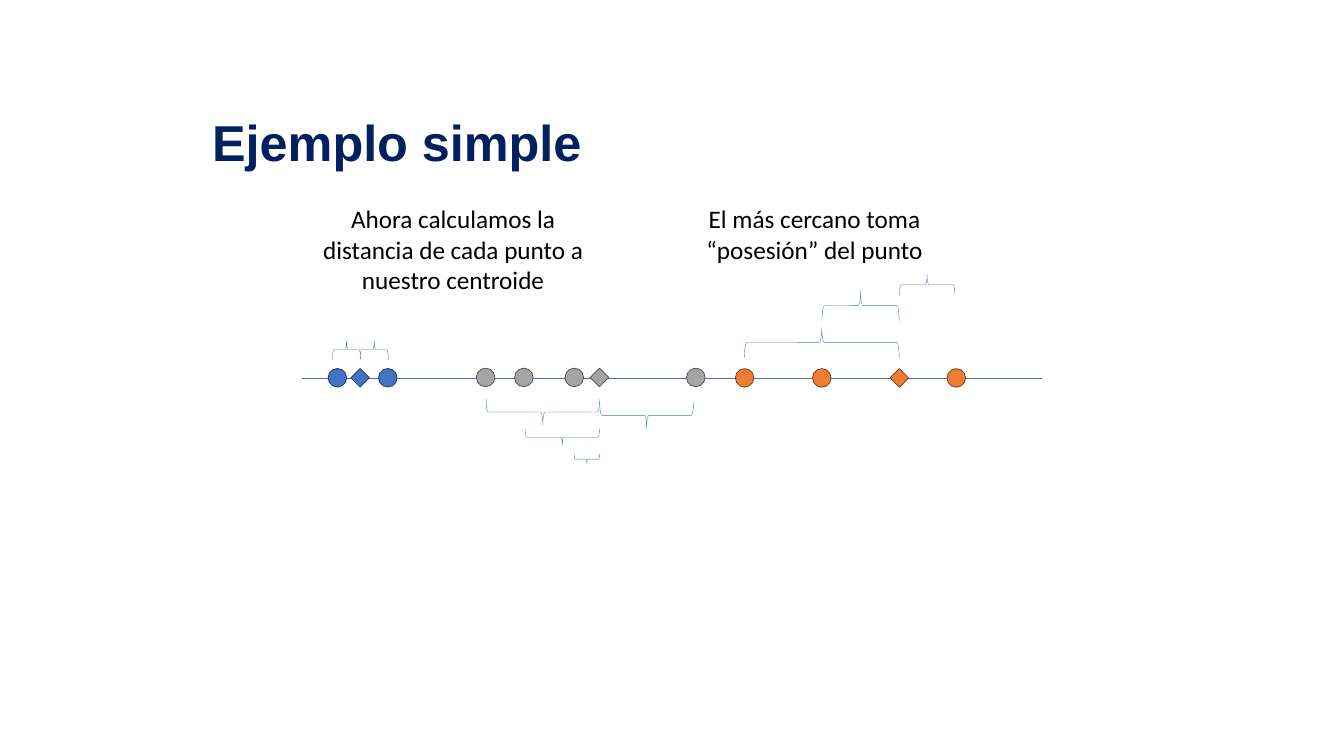
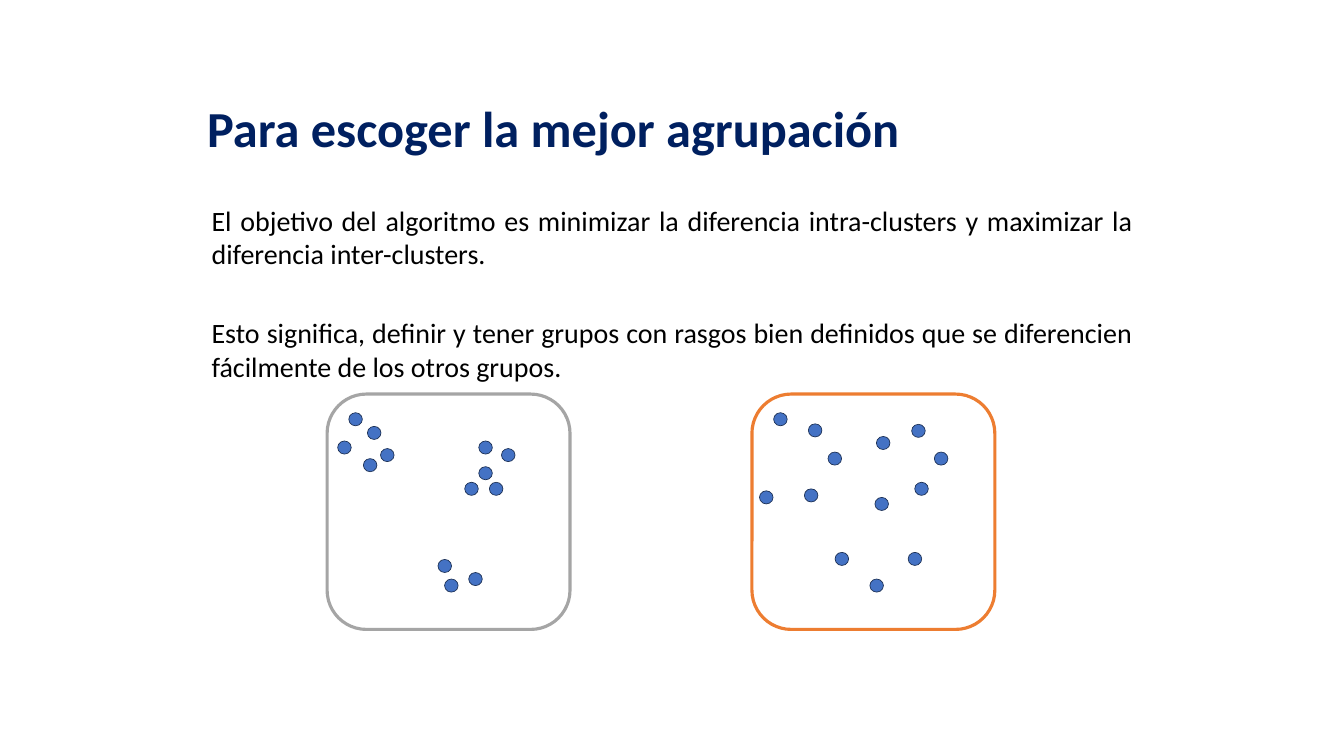
import pptx
import pptx.util
import pptx.dml.color
import pptx.enum.shapes
import pptx.enum.text
import lxml.etree

Pt = pptx.util.Pt
rgb = pptx.dml.color.RGBColor.from_string
MSO = pptx.enum.shapes.MSO_SHAPE
ALIGN = pptx.enum.text.PP_ALIGN
ANCHOR = pptx.enum.text.MSO_ANCHOR

NAVY, BLACK, WHITE = "002060", "000000", "FFFFFF"
BLUE, GREY, ORANGE = "4472C4", "A5A5A5", "ED7D31"
OUTLINE = {BLUE: "1E3256", GREY: "484848", ORANGE: "683715"}


def add_figure(s, kind, left, top, width, height, fill, line, weight):
    sp = s.shapes.add_shape(kind, Pt(left), Pt(top), Pt(width), Pt(height))
    sp.shadow.inherit = False
    if fill:
        sp.fill.solid()
        sp.fill.fore_color.rgb = rgb(fill)
    else:
        sp.fill.background()
    sp.line.color.rgb = rgb(line)
    sp.line.width = Pt(weight)
    return sp


def fill_text(sp, box, inset, anchor, paragraphs, align, font, size, color, bold=False, gap=0):
    """Place a text shape and write its paragraphs, with a gap in points between them."""
    sp.left, sp.top, sp.width, sp.height = [Pt(v) for v in box]
    tf = sp.text_frame
    tf.word_wrap = True
    tf.auto_size = pptx.enum.text.MSO_AUTO_SIZE.NONE
    tf.vertical_anchor = anchor
    tf.margin_left = tf.margin_right = Pt(2 * inset)
    tf.margin_top = tf.margin_bottom = Pt(inset)
    for i, text in enumerate(paragraphs):
        p = tf.add_paragraph() if i else tf.paragraphs[0]
        p.text = text
        p.alignment = align
        p.space_before = Pt(gap if i else 0)
        p.font.name = font
        p.font.size = Pt(size)
        p.font.bold = bold
        p.font.color.rgb = rgb(color)


prs = pptx.Presentation()
prs.slide_width, prs.slide_height = Pt(1920), Pt(1080)
title_only = prs.slide_layouts[5]

# Slide 1: points on a line, owned by their nearest centroid
s = prs.slides.add_slide(title_only)
fill_text(s.shapes.title, (288.7, 144.7, 1296, 114.5), 7.2, ANCHOR.MIDDLE,
          ["Ejemplo simple"], ALIGN.JUSTIFY, "Arial", 72, NAVY, bold=True)

AXIS_Y = 540
axis = s.shapes.add_connector(pptx.enum.shapes.MSO_CONNECTOR.STRAIGHT,
                              Pt(431.3), Pt(AXIS_Y), Pt(1488.3), Pt(AXIS_Y))
axis.line.color.rgb = rgb(BLUE)
axis.line.width = Pt(0.5)
sp_pr = axis._element.spPr
lxml.etree.SubElement(sp_pr, pptx.oxml.ns.qn("a:effectLst"))

captions = [
    (431.3, 145.4, "Ahora calculamos la distancia de cada punto a nuestro centroide"),
    (947.5, 101.5, "El más cercano toma “posesión” del punto"),
]
for left, height, caption in captions:
    box = (left, 283.7, 432, height)
    tf_box = s.shapes.add_textbox(0, 0, 0, 0)
    fill_text(tf_box, box, 7.2, ANCHOR.TOP, [caption], ALIGN.CENTER, "Calibri", 36, BLACK)

# Colour, height of the centres, centres of the points, centre of the centroid
MARK = 26.6
clusters = [
    (BLUE, 539.7, (482, 554), 514.4),
    (GREY, 539.2, (693.7, 748.4, 820.4, 994), 856.4),
    (ORANGE, 539.9, (1063.8, 1174, 1366.2), 1284.8),
]
for color, y, points, centroid in clusters:
    marks = [(MSO.OVAL, x) for x in points] + [(MSO.DIAMOND, centroid)]
    for kind, x in marks:
        add_figure(s, kind, x - MARK / 2, y - MARK / 2, MARK, MARK, color, OUTLINE[color], 1)

# Left end, right end, middle height, depth; 90 opens downwards, 270 upwards
distances = [
    (474.8, 515.2, 499.7, 26.6, 90),
    (514.4, 554.8, 499.7, 26.6, 90),
    (694.4, 856.4, 588.6, 37.4, 270),
    (750.2, 856.4, 624.6, 23.8, 270),
    (820.4, 856.4, 655.9, 14.4, 270),
    (856.8, 990.7, 593.3, 37.4, 270),
    (1063.4, 1284.5, 489.2, 42.5, 90),
    (1174.3, 1284.5, 436.7, 42.5, 90),
    (1284.8, 1364, 406.8, 29.5, 90),
]
for x1, x2, y, depth, turn in distances:
    span = x2 - x1
    brace = add_figure(s, MSO.LEFT_BRACE, (x1 + x2 - depth) / 2, y - span / 2,
                       depth, span, None, BLUE, 0.5)
    brace.rotation = turn

# Slide 2: a good and a poor grouping
s = prs.slides.add_slide(title_only)
title = s.shapes.title
fill_text(title, (288.7, 144.7, 1329.8, 114.5), 3.6, ANCHOR.TOP,
          ["Para escoger la mejor agrupación"], ALIGN.JUSTIFY, "Calibri", 72, NAVY, bold=True)
title.text_frame.paragraphs[0].line_spacing = 0.9

goal = [
    "El objetivo del algoritmo es minimizar la diferencia intra-clusters y maximizar "
    "la diferencia inter-clusters.",
    "Esto significa, definir y tener grupos con rasgos bien definidos que se diferencien "
    "fácilmente de los otros grupos.",
]
fill_text(s.shapes.add_textbox(0, 0, 0, 0), (295.2, 286.6, 1329.8, 269.3), 3.6, ANCHOR.TOP,
          goal, ALIGN.JUSTIFY, "Calibri", 40, BLACK, gap=64.8)

# Left edge and colour of each frame, then its dots measured from the frame's corner
FRAME_TOP = 563
groupings = [
    (467.3, GREY, [
        (15.1, 67), (57.6, 46.1), (51.8, 92.2), (76.3, 77.8), (31, 26.6),
        (167.8, 264.2), (202.3, 254.9), (158.4, 236.2),
        (196.6, 126), (249.1, 77.8), (216.7, 103.7), (216.7, 67), (231.8, 126)]),
    (1074.2, ORANGE, [
        (10.8, 138.2), (80.6, 42.5), (74.9, 135.4), (108.7, 82.8), (31, 26.6),
        (168.5, 264.2), (223.2, 226.1), (118.8, 226.1),
        (175.7, 147.6), (260.6, 82.8), (177.8, 60.5), (228.2, 43.2), (232.6, 126)]),
]
for left, color, dots in groupings:
    add_figure(s, MSO.ROUNDED_RECTANGLE, left, FRAME_TOP, 347, 336.2, WHITE, color, 4.5)
    for dx, dy in dots:
        add_figure(s, MSO.OVAL, left + dx, FRAME_TOP + dy, 19.4, 18.7, BLUE, OUTLINE[BLUE], 1)

prs.save("out.pptx")
